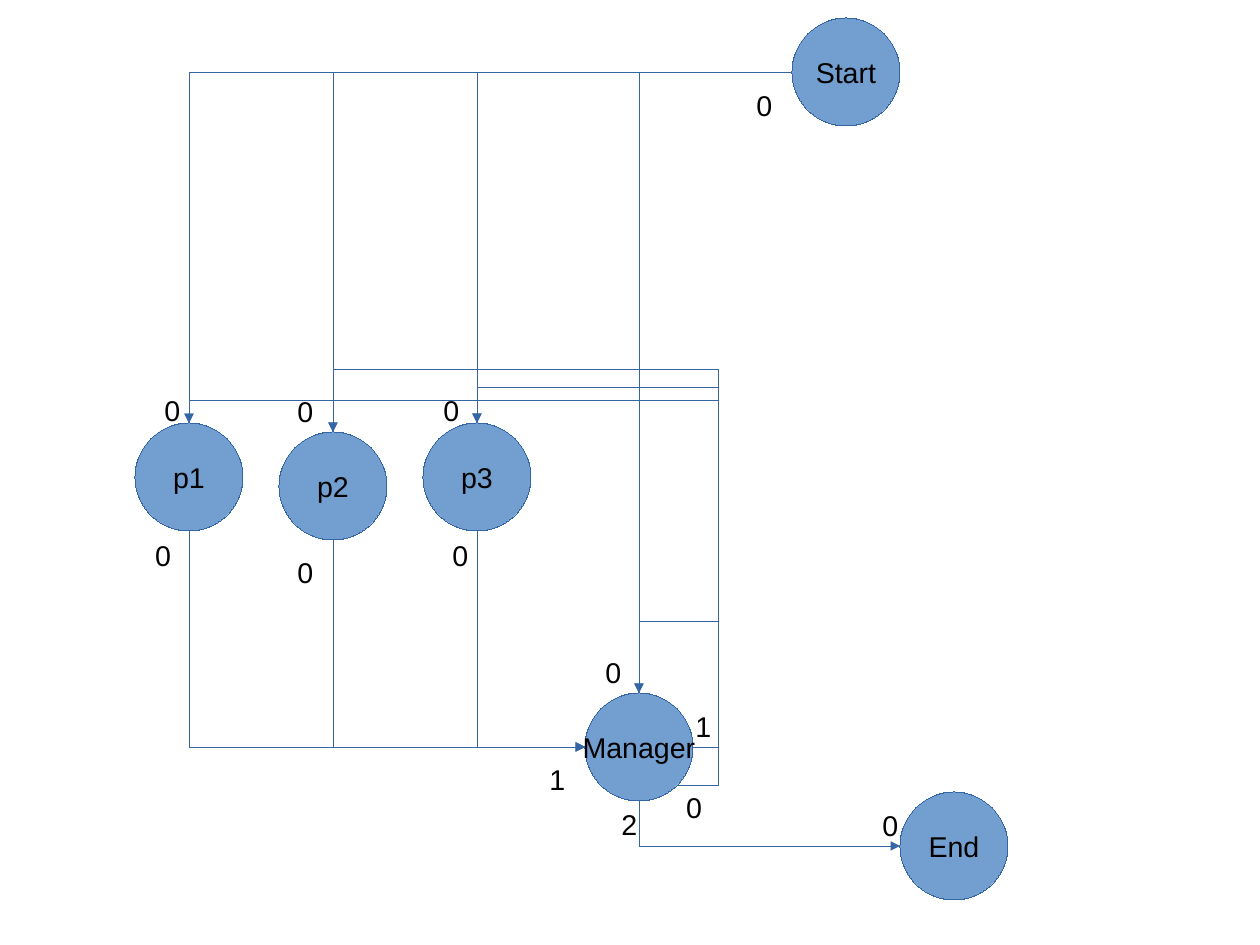
from math import sqrt

from lxml import etree
from pptx import Presentation
from pptx.dml.color import RGBColor
from pptx.enum.shapes import MSO_CONNECTOR, MSO_SHAPE
from pptx.enum.text import MSO_ANCHOR, MSO_AUTO_SIZE, PP_ALIGN
from pptx.oxml.ns import qn
from pptx.util import Emu, Pt

ELBOW = MSO_CONNECTOR.ELBOW
OVAL = MSO_SHAPE.OVAL
MIDDLE, TOP_ANCHOR = MSO_ANCHOR.MIDDLE, MSO_ANCHOR.TOP
CENTER, LEFT_ALIGN = PP_ALIGN.CENTER, PP_ALIGN.LEFT
GROW = MSO_AUTO_SIZE.SHAPE_TO_FIT_TEXT

FILL = RGBColor(0x72, 0x9F, 0xCF)
LINE = RGBColor(0x34, 0x65, 0xA4)
BLACK = RGBColor(0, 0, 0)

EMU_PER_PX = 8000
DIAMETER = 108
RETURN_LANE = 718

# Connection sites of an ellipse, and where each lies from its centre in radii
TOP, LEFT, BOTTOM, BOTTOM_RIGHT, RIGHT = 0, 2, 4, 5, 6
SITES = {TOP: (0, -1), LEFT: (-1, 0), BOTTOM: (0, 1),
         BOTTOM_RIGHT: (sqrt(0.5), sqrt(0.5)), RIGHT: (1, 0)}

STATES = {"Start": (792, 18), "p1": (135, 423), "p2": (279, 432),
          "p3": (423, 423), "Manager": (585, 693), "End": (900, 792)}
RETURNS = [("p3", RIGHT, 387), ("p2", RIGHT, 369),
           ("p1", BOTTOM_RIGHT, 400), ("Manager", RIGHT, 621)]
LABELS = [("0", 153, 387), ("0", 286, 388), ("0", 432, 387),
          ("0", 144, 532), ("0", 286, 549), ("0", 441, 532),
          ("0", 745, 82), ("0", 594, 649), ("1", 538, 756),
          ("0", 675, 784), ("1", 684, 703), ("2", 610, 801),
          ("0", 871, 802)]


def px(length):
    return Emu(round(length * EMU_PER_PX))


def write(box, text, *, align=LEFT_ALIGN, anchor=TOP_ANCHOR, size=18,
          font="Arial", color=BLACK):
    frame = box.text_frame
    frame.word_wrap = False
    frame.vertical_anchor = anchor
    para = frame.paragraphs[0]
    para.alignment = align
    span = para.add_run()
    span.text = text
    span.font.size = Pt(size)
    span.font.name = font
    span.font.color.rgb = color


def draw_hairline(shape):
    """Colour the outline and write its zero width, which is no default here."""
    shape.line.color.rgb = LINE
    outline = shape._element.spPr.find(qn("a:ln"))
    outline.set("w", "0")
    return outline


def add_state(page, name, left, top):
    circle = page.shapes.add_shape(OVAL, px(left), px(top),
                                   px(DIAMETER), px(DIAMETER))
    circle.shadow.inherit = False
    circle.fill.solid()
    circle.fill.fore_color.rgb = FILL
    draw_hairline(circle)
    write(circle, name, align=CENTER, anchor=MIDDLE)
    return circle


def add_label(page, text, left, top):
    box = page.shapes.add_textbox(px(left), px(top), px(39), px(43))
    write(box, text)
    box.text_frame.auto_size = GROW


def site_point(name, site):
    radius = DIAMETER / 2
    return [corner + radius * (1 + offset)
            for corner, offset in zip(STATES[name], SITES[site])]


def add_arrow(page, circles, begin, end, preset, turn, adjust=()):
    """Join two (state, site) pairs with a bent arrow; turn holds rot and flips."""
    start, finish = site_point(*begin), site_point(*end)
    arrow = page.shapes.add_connector(ELBOW, *map(px, start + finish))
    etree.SubElement(draw_hairline(arrow), qn("a:tailEnd"), type="triangle")

    properties = arrow._element.spPr
    etree.SubElement(properties, qn("a:effectLst"))
    geometry = properties.find(qn("a:prstGeom"))
    geometry.set("prst", preset)
    values = geometry.find(qn("a:avLst"))
    for number, ratio in enumerate(adjust, 1):
        etree.SubElement(values, qn("a:gd"), name=f"adj{number}",
                         fmla=f"val {round(ratio * 100000)}")

    transform = properties.find(qn("a:xfrm"))
    for key in ("rot", "flipH", "flipV"):
        transform.attrib.pop(key, None)
    for key, value in turn.items():
        transform.set(key, value)

    joints = next(arrow._element.iter(qn("p:cNvCxnSpPr")))
    for tag, (name, site) in (("a:stCxn", begin), ("a:endCxn", end)):
        etree.SubElement(joints, qn(tag), id=str(circles[name].shape_id),
                         idx=str(site))
    return arrow


def add_left_down(page, circles, begin, end):
    add_arrow(page, circles, begin, end, "bentConnector2",
              {"rot": "10800000", "flipV": "1"})


def add_down_right(page, circles, begin, end):
    arrow = add_arrow(page, circles, begin, end, "bentConnector2",
                      {"rot": "16200000", "flipH": "1"})
    # A quarter turn swaps the sides of the frame around its centre
    width, height = arrow.width, arrow.height
    arrow.left += (width - height) // 2
    arrow.top += (height - width) // 2
    arrow.width, arrow.height = height, width


def add_return(page, circles, begin, end, crossing):
    """Leave rightwards, climb the return lane and come down on the end."""
    (x1, y1), (x2, y2) = site_point(*begin), site_point(*end)
    add_arrow(page, circles, begin, end, "bentConnector4",
              {"flipH": "1", "flipV": "1"},
              ((RETURN_LANE - x1) / (x2 - x1), (crossing - y1) / (y2 - y1)))


def main():
    deck = Presentation()
    deck.slide_width, deck.slide_height = px(1260), px(945)
    page = deck.slides.add_slide(deck.slide_layouts[6])

    circles = {name: add_state(page, name, *corner)
               for name, corner in STATES.items()}
    for name in ("p1", "p2", "p3", "Manager"):
        add_left_down(page, circles, ("Start", LEFT), (name, TOP))
    for name in ("p3", "p2", "p1"):
        add_down_right(page, circles, (name, BOTTOM), ("Manager", LEFT))
    for name, site, crossing in RETURNS:
        add_return(page, circles, ("Manager", site), (name, TOP), crossing)
    add_down_right(page, circles, ("Manager", BOTTOM), ("End", LEFT))
    for label in LABELS:
        add_label(page, *label)

    deck.save("out.pptx")


if __name__ == "__main__":
    main()
